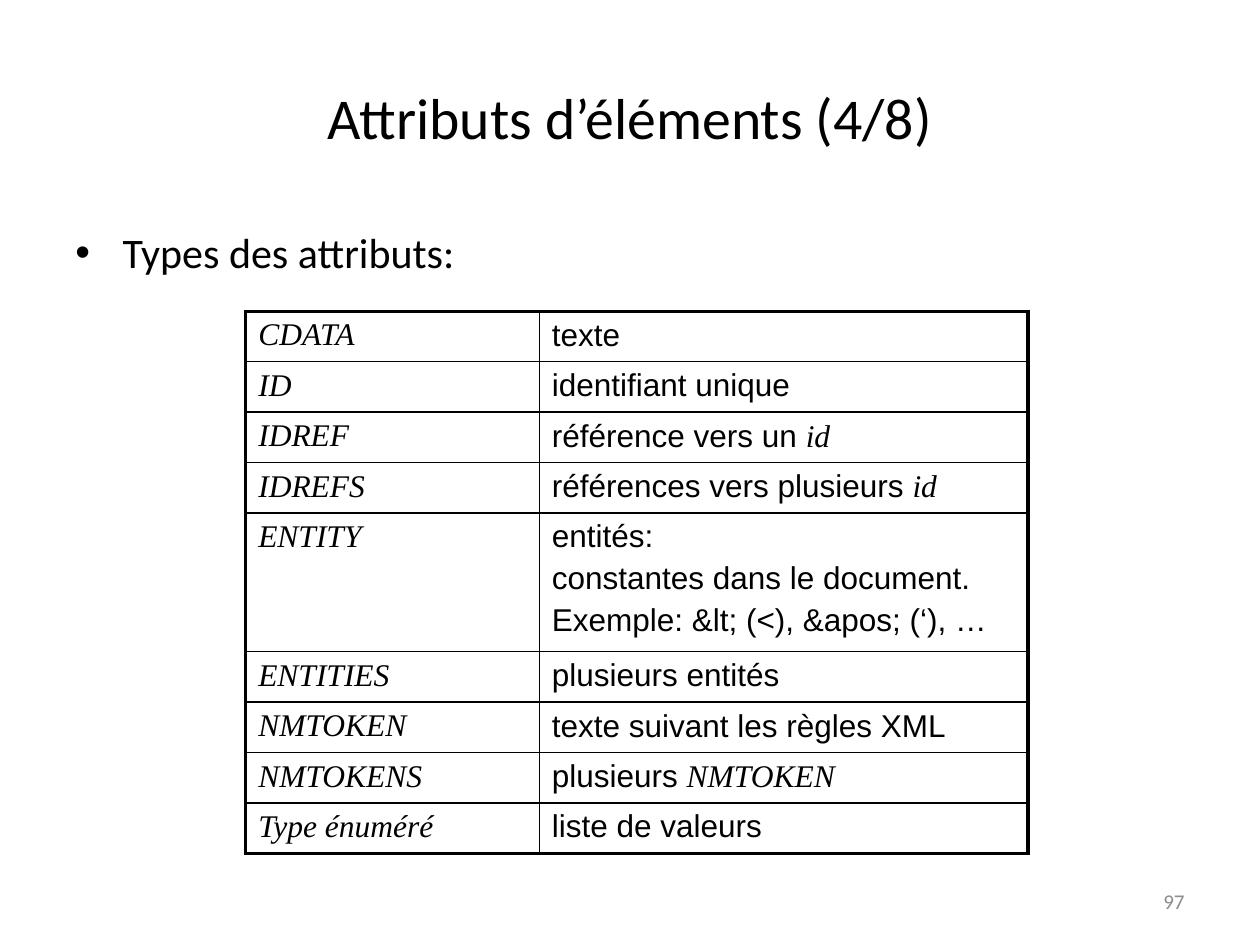
import pptx
import pptx.dml.color
import pptx.enum.text
import pptx.oxml
import pptx.oxml.ns
import pptx.util

COLORS = {"text": "000000", "muted": "8C8C8C"}
COLUMNS, ROWS = 100, 75
ALIGN = pptx.enum.text.PP_ALIGN
ANCHOR = pptx.enum.text.MSO_ANCHOR
TERM = {"name": "Times New Roman", "size": pptx.util.Pt(18), "italic": True}
PLAIN = {"name": "Arial", "size": pptx.util.Pt(18), "italic": False}


class SlideBuilder:
    def __init__(self, prs):
        self.prs = prs
        self.slide = prs.slides.add_slide(prs.slide_layouts[5])

    def x(self, columns):
        return round(self.prs.slide_width * columns / COLUMNS)

    def y(self, rows):
        return round(self.prs.slide_height * rows / ROWS)

    def box(self, left, top, width, height):
        return self.x(left), self.y(top), self.x(width), self.y(height)

    def run(self, p, text, font, color="text"):
        r = p.add_run()
        r.text = text
        for key, value in font.items():
            setattr(r.font, key, value)
        r.font.color.rgb = pptx.dml.color.RGBColor.from_string(COLORS[color])

    def fill_text(self, sp, text, size, color="text", align=ALIGN.LEFT, anchor=ANCHOR.TOP):
        tf = sp.text_frame
        for key, value in {"word_wrap": True, "vertical_anchor": anchor}.items():
            setattr(tf, key, value)
        p = tf.paragraphs[0]
        p.alignment = align
        self.run(p, text, {"name": "Calibri", "size": pptx.util.Pt(size)}, color)
        return p

    def title(self, text, box, size):
        sp = self.slide.shapes.title
        for key, value in zip(("left", "top", "width", "height"), self.box(*box)):
            setattr(sp, key, value)
        self.fill_text(sp, text, size, align=ALIGN.CENTER, anchor=ANCHOR.MIDDLE)

    def text(self, text, box, size, **style):
        sp = self.slide.shapes.add_textbox(*self.box(*box))
        return self.fill_text(sp, text, size, **style)

    def bullet(self, text, box, size, indent):
        pPr = self.text(text, box, size)._p.get_or_add_pPr()
        pPr.set("marL", str(self.x(indent)))
        pPr.set("indent", str(-self.x(indent)))
        ns = pptx.oxml.ns.nsdecls("a")
        pPr.append(pptx.oxml.parse_xml(f'<a:buFont {ns} typeface="Arial"/>'))
        pPr.append(pptx.oxml.parse_xml(f'<a:buChar {ns} char="•"/>'))

    def borders(self, cell, outer):
        tcPr = cell._tc.get_or_add_tcPr()
        for i, side in enumerate("LRTB"):
            width = pptx.util.Pt(2.25 if side in outer else 1)
            tcPr.insert(i, pptx.oxml.parse_xml(
                f'<a:ln{side} {pptx.oxml.ns.nsdecls("a")} w="{width}"><a:solidFill>'
                f'<a:srgbClr val="{COLORS["text"]}"/></a:solidFill></a:ln{side}>'))

    def table(self, rows, left, top, widths, heights):
        box = self.box(left, top, sum(widths), sum(heights))
        table = self.slide.shapes.add_table(len(rows), len(widths), *box).table
        table.first_row = table.horz_banding = False
        for column, width in zip(table.columns, widths):
            column.width = self.x(width)
        for i, (row, height) in enumerate(zip(rows, heights)):
            table.rows[i].height = self.y(height)
            for j, lines in enumerate(row):
                cell = table.cell(i, j)
                cell.fill.background()
                outer = "L" * (j == 0) + "R" * (j == len(widths) - 1)
                outer += "T" * (i == 0) + "B" * (i == len(rows) - 1)
                self.borders(cell, outer)
                self.cell_text(cell.text_frame, lines)

    def cell_text(self, tf, lines):
        for n, line in enumerate(lines):
            p = tf.add_paragraph() if n else tf.paragraphs[0]
            if n:
                p.space_before = pptx.util.Pt(3.6)
            for text, font in line:
                self.run(p, text, font)


def main():
    prs = pptx.Presentation()
    prs.slide_width, prs.slide_height = pptx.util.Inches(10), pptx.util.Inches(7.5)
    slide = SlideBuilder(prs)
    slide.title("Attributs d’éléments (4/8)", (5, 3, 90, 12.5), 33)
    slide.bullet("Types des attributs:", (5, 17.5, 76.4, 49.5), 24, 3.75)

    entity_lines = ("entités:", "constantes dans le document.",
                    "Exemple: &lt; (<), &apos; (‘), …")
    types = [
        ("CDATA", [[("texte", PLAIN)]]),
        ("ID", [[("identifiant unique", PLAIN)]]),
        ("IDREF", [[("référence vers un ", PLAIN), ("id", TERM)]]),
        ("IDREFS", [[("références vers plusieurs ", PLAIN), ("id", TERM)]]),
        ("ENTITY", [[(line, PLAIN)] for line in entity_lines]),
        ("ENTITIES", [[("plusieurs entités", PLAIN)]]),
        ("NMTOKEN", [[("texte suivant les règles XML", PLAIN)]]),
        ("NMTOKENS", [[("plusieurs ", PLAIN), ("NMTOKEN", TERM)]]),
        ("Type énuméré", [[("liste de valeurs", PLAIN)]]),
    ]
    rows = [([[(name, TERM)]], meaning) for name, meaning in types]
    heights = [{"IDREFS": 4, "ENTITY": 10.4}.get(name, 3.8) for name, _ in types]
    slide.table(rows, 19.5, 24.7, (23.3, 38.8), heights)
    slide.text("97", (71.7, 69.5, 23.3, 4), 12, color="muted",
               align=ALIGN.RIGHT, anchor=ANCHOR.MIDDLE)
    prs.save("out.pptx")


if __name__ == "__main__":
    main()
